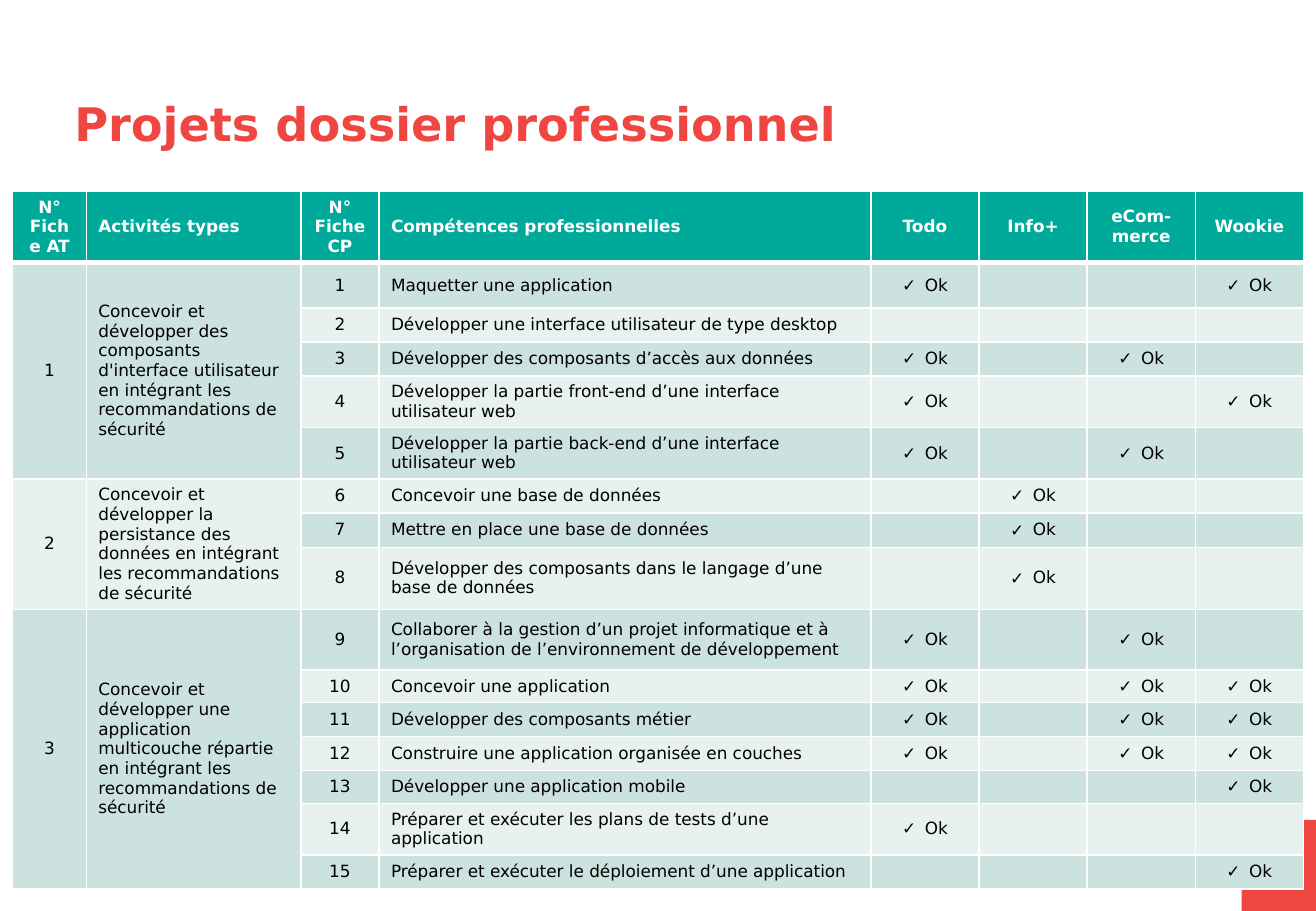
from lxml.etree import SubElement
from pptx import Presentation
from pptx.dml.color import RGBColor
from pptx.enum.shapes import MSO_SHAPE
from pptx.enum.text import MSO_ANCHOR, MSO_AUTO_SIZE, PP_ALIGN
from pptx.oxml.ns import qn
from pptx.util import Pt

RED = RGBColor(0xEF, 0x46, 0x41)
TEAL = RGBColor(0x00, 0xAA, 0x9B)
DARK_BAND = RGBColor(0xCC, 0xE2, 0xDE)
LIGHT_BAND = RGBColor(0xE7, 0xF1, 0xEF)
WHITE = RGBColor(0xFF, 0xFF, 0xFF)
BLACK = RGBColor(0x00, 0x00, 0x00)
FONT = "DejaVu Sans"

HEADERS = ["N° Fiche AT", "Activités types", "N° Fiche CP", "Compétences professionnelles",
           "Todo", "Info+", "eCom-merce", "Wookie"]
TODO, INFO, ECOMMERCE, WOOKIE = range(4, 8)
LEFT_COLUMNS = (1, 3)

# Each activity holds its skills: text, row height, projects that cover it
ACTIVITIES = [
    ("Concevoir et développer des composants d'interface utilisateur en intégrant "
     "les recommandations de sécurité", [
         ("Maquetter une application", 27, [TODO, WOOKIE]),
         ("Développer une interface utilisateur de type desktop", 20.2, []),
         ("Développer des composants d’accès aux données", 20.2, [TODO, ECOMMERCE]),
         ("Développer la partie front-end d’une interface utilisateur web", 30.5, [TODO, WOOKIE]),
         ("Développer la partie back-end d’une interface utilisateur web", 30.5, [TODO, ECOMMERCE]),
     ]),
    ("Concevoir et développer la persistance des données en intégrant "
     "les recommandations de sécurité", [
         ("Concevoir une base de données", 20.2, [INFO]),
         ("Mettre en place une base de données", 20.2, [INFO]),
         ("Développer des composants dans le langage d’une base de données", 36.7, [INFO]),
     ]),
    ("Concevoir et développer une application multicouche répartie en intégrant "
     "les recommandations de sécurité", [
         ("Collaborer à la gestion d’un projet informatique et à l’organisation de "
          "l’environnement de développement", 36, [TODO, ECOMMERCE]),
         ("Concevoir une application", 18.9, [TODO, ECOMMERCE, WOOKIE]),
         ("Développer des composants métier", 20.2, [TODO, ECOMMERCE, WOOKIE]),
         ("Construire une application organisée en couches", 20.2, [TODO, ECOMMERCE, WOOKIE]),
         ("Développer une application mobile", 18.9, [WOOKIE]),
         ("Préparer et exécuter les plans de tests d’une application", 30.5, [TODO]),
         ("Préparer et exécuter le déploiement d’une application", 20.2, [WOOKIE]),
     ]),
]


def style_font(font, size, color, bold):
    font.name = FONT
    font.size = Pt(size)
    font.bold = bold
    font.color.rgb = color


def fill_cell(row, column, text, fill, color=BLACK, bold=False):
    cell = table.cell(row, column)
    cell.vertical_anchor = MSO_ANCHOR.MIDDLE

    # White borders, thicker under the header
    properties = cell._tc.get_or_add_tcPr()
    for side in ("lnL", "lnR", "lnT", "lnB"):
        thick = (row, side) in ((0, "lnB"), (1, "lnT"))
        line = SubElement(properties, qn(f"a:{side}"), w=str(Pt(3 if thick else 1)))
        SubElement(SubElement(line, qn("a:solidFill")), qn("a:srgbClr"), val=str(WHITE))
    cell.fill.solid()
    cell.fill.fore_color.rgb = fill

    para = cell.text_frame.paragraphs[0]
    para.alignment = PP_ALIGN.LEFT if column in LEFT_COLUMNS else PP_ALIGN.CENTER
    if not text:
        SubElement(para._p, qn("a:endParaRPr"), sz="1000")
        return
    if text == "Ok":
        paragraph_properties = para._p.get_or_add_pPr()
        paragraph_properties.set("marL", str(Pt(13.5)))
        paragraph_properties.set("indent", str(Pt(-13.5)))
        SubElement(paragraph_properties, qn("a:buFont"), typeface=FONT)
        SubElement(paragraph_properties, qn("a:buChar"), char="✓")
    span = para.add_run()
    span.text = text
    style_font(span.font, 10, color, bold)


deck = Presentation()
deck.slide_width, deck.slide_height = Pt(780), Pt(540)
page = deck.slides.add_slide(deck.slide_layouts[5])

# Red corner
corner = page.shapes.add_shape(MSO_SHAPE.RECTANGLE, Pt(736), Pt(486), Pt(44), Pt(54))
corner.shadow.inherit = False
corner.fill.solid()
corner.fill.fore_color.rgb = RED
corner.line.fill.background()

# Title
title = page.shapes.title
title.left, title.top, title.width, title.height = Pt(43.2), Pt(54.7), Pt(595.4), Pt(34.6)
frame = title.text_frame
frame.auto_size = MSO_AUTO_SIZE.NONE
frame.word_wrap = True
frame.vertical_anchor = MSO_ANCHOR.TOP
frame.margin_left, frame.margin_right, frame.margin_bottom = Pt(0.9), 0, 0
frame.margin_top = Pt(1.5)
title_para = frame.paragraphs[0]
title_para.alignment = PP_ALIGN.LEFT
title_span = title_para.add_run()
title_span.text = "Projets dossier professionnel"
style_font(title_span.font, 27.4, RED, True)

# Table grid
skill_heights = [height for _, skills in ACTIVITIES for _, height, _ in skills]
heights = [42.1] + skill_heights
widths = [43.6, 127.3, 46.2, 291.6] + [64.1] * 4
table = page.shapes.add_table(len(heights), len(widths), Pt(7.5), Pt(113.4),
                              Pt(sum(widths)), Pt(sum(heights))).table
table.horz_banding = False
for table_column, width in zip(table.columns, widths):
    table_column.width = Pt(width)
for table_row, height in zip(table.rows, heights):
    table_row.height = Pt(height)

# Header row
for column, header in enumerate(HEADERS):
    fill_cell(0, column, header, TEAL, WHITE, True)

# Activities and their skills
row = 1
for number, (activity, skills) in enumerate(ACTIVITIES, 1):
    first_row = row
    group_fill = DARK_BAND if first_row % 2 else LIGHT_BAND
    for skill, _, projects in skills:
        band = DARK_BAND if row % 2 else LIGHT_BAND
        lead = [str(number), activity] if row == first_row else ["", ""]
        marks = ["Ok" if project in projects else "" for project in range(TODO, WOOKIE + 1)]
        for column, text in enumerate(lead + [str(row), skill] + marks):
            fill_cell(row, column, text, group_fill if column < 2 else band)
        row += 1
    for column in range(2):
        table.cell(first_row, column).merge(table.cell(row - 1, column))

deck.save("out.pptx")
